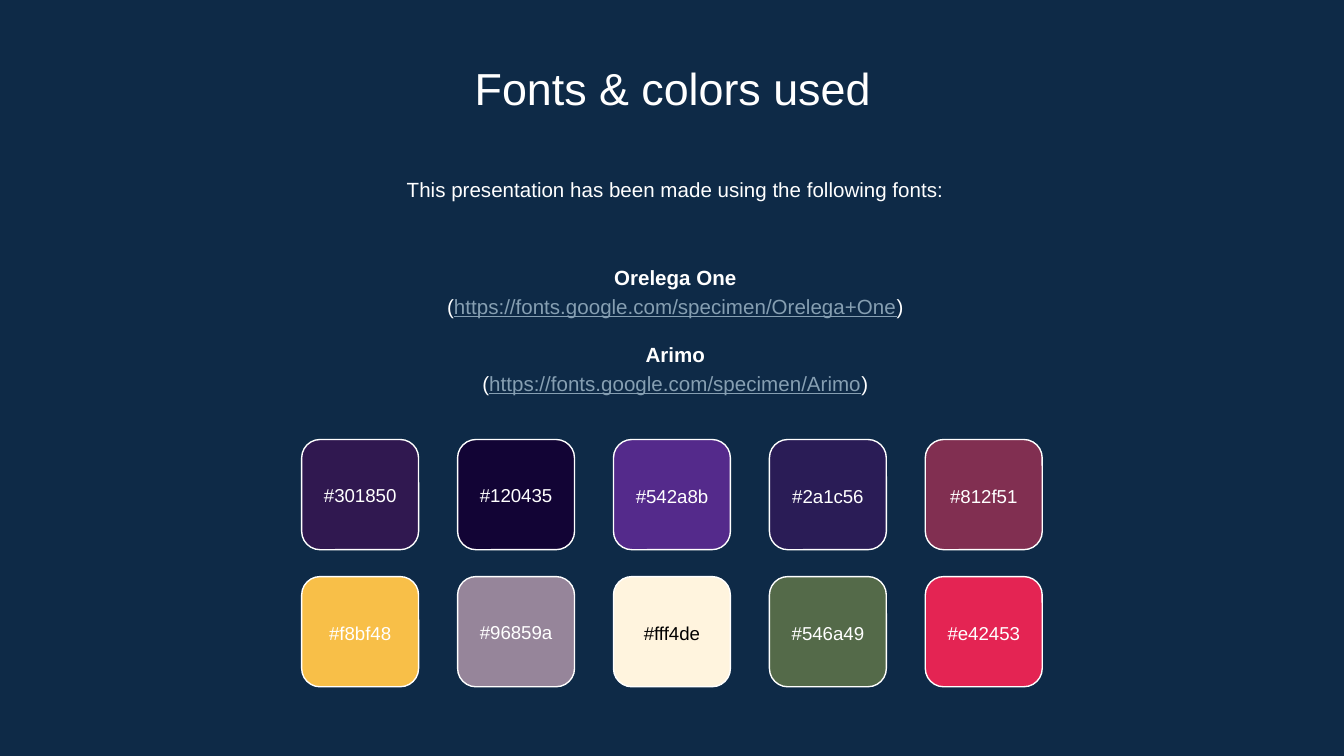
from pptx import Presentation
from pptx.dml.color import RGBColor
from pptx.enum.shapes import MSO_SHAPE as Shape
from pptx.enum.text import MSO_ANCHOR as Anchor, PP_ALIGN as Align
from pptx.util import Inches, Pt

FONT = "Arial"
WHITE, BLACK, NAVY, LINK = "FFFFFF", "000000", "0E2A47", "869FB2"
PALETTE = [
    ["301850", "120435", "542a8b", "2a1c56", "812f51"],
    ["f8bf48", "96859a", "fff4de", "546a49", "e42453"],
]
SINGLE_SPACED = {"301850", "120435", "96859a"}
DARK_LABELS = {"fff4de"}
FONTS_USED = [
    ("Orelega One", "https://fonts.google.com/specimen/Orelega+One"),
    ("Arimo", "https://fonts.google.com/specimen/Arimo"),
]
SLIDE_WIDTH = 10
SLIDE_HEIGHT = SLIDE_WIDTH * 9 / 16
TOP, WIDTH, HEIGHT = 3.27, 0.87, 0.82
STEP_X, STEP_Y = 1.16, 1.02
LEFT = (SLIDE_WIDTH - WIDTH - STEP_X * (len(PALETTE[0]) - 1)) / 2
LABEL_HEIGHT = 0.48


def rgb(value):
    return RGBColor.from_string(value.upper())


def set_all(obj, **values):
    for name, value in values.items():
        setattr(obj, name, value)


def add_text(slide, box, paragraphs, size, spacing=1.15, anchor=Anchor.TOP):
    sp = slide.shapes.add_textbox(*map(Inches, box))
    tf = sp.text_frame
    margins = dict.fromkeys(
        ("margin_left", "margin_top", "margin_right", "margin_bottom"), Inches(0.1)
    )
    set_all(tf, word_wrap=True, vertical_anchor=anchor, **margins)
    for i, (runs, before) in enumerate(paragraphs):
        p = tf.add_paragraph() if i else tf.paragraphs[0]
        set_all(p, alignment=Align.CENTER, line_spacing=spacing, space_before=Pt(before))
        for text, color, style in runs:
            r = p.add_run()
            r.text = text
            set_all(r.font, name=FONT, size=Pt(size), **style)
            r.font.color.rgb = rgb(color)


def add_line(slide, box, text, size, color=WHITE, **layout):
    add_text(slide, box, [([(text, color, {})], 0)], size, **layout)


def add_font_list(slide, box):
    paragraphs = []
    for i, (name, url) in enumerate(FONTS_USED):
        paragraphs.append(([(name, WHITE, {"bold": True})], 11 if i else 0))
        address = [("(", WHITE, {}), (url, LINK, {"underline": True}), (")", WHITE, {})]
        paragraphs.append((address, 0))
    add_text(slide, box, paragraphs, 11, anchor=Anchor.MIDDLE)


def add_swatch(slide, left, top, color):
    box = map(Inches, (left, top, WIDTH, HEIGHT))
    sp = slide.shapes.add_shape(Shape.ROUNDED_RECTANGLE, *box)
    sp.shadow.inherit = False
    sp.fill.solid()
    sp.fill.fore_color.rgb = rgb(color)
    sp.line.color.rgb = rgb(WHITE)
    sp.line.width = Pt(0.75)
    label_top = top + (HEIGHT - LABEL_HEIGHT) / 2
    add_line(
        slide, (left, label_top, WIDTH, LABEL_HEIGHT), f"#{color}", 10,
        color=BLACK if color in DARK_LABELS else WHITE,
        spacing=1.0 if color in SINGLE_SPACED else 1.15,
        anchor=Anchor.MIDDLE,
    )


def main():
    prs = Presentation()
    set_all(prs, slide_width=Inches(SLIDE_WIDTH), slide_height=Inches(SLIDE_HEIGHT))
    slide = prs.slides.add_slide(prs.slide_layouts[6])
    slide.background.fill.solid()
    slide.background.fill.fore_color.rgb = rgb(NAVY)

    add_line(slide, (1.15, 0.35, 7.71, 0.53), "Fonts & colors used", 24, spacing=1.0)
    intro = "This presentation has been made using the following fonts:"
    add_line(slide, (1.17, 1.19, 7.71, 0.48), intro, 11)
    add_font_list(slide, (1.17, 1.76, 7.71, 1.37))
    for row, colors in enumerate(PALETTE):
        for col, color in enumerate(colors):
            add_swatch(slide, LEFT + col * STEP_X, TOP + row * STEP_Y, color)

    prs.save("out.pptx")


if __name__ == "__main__":
    main()
